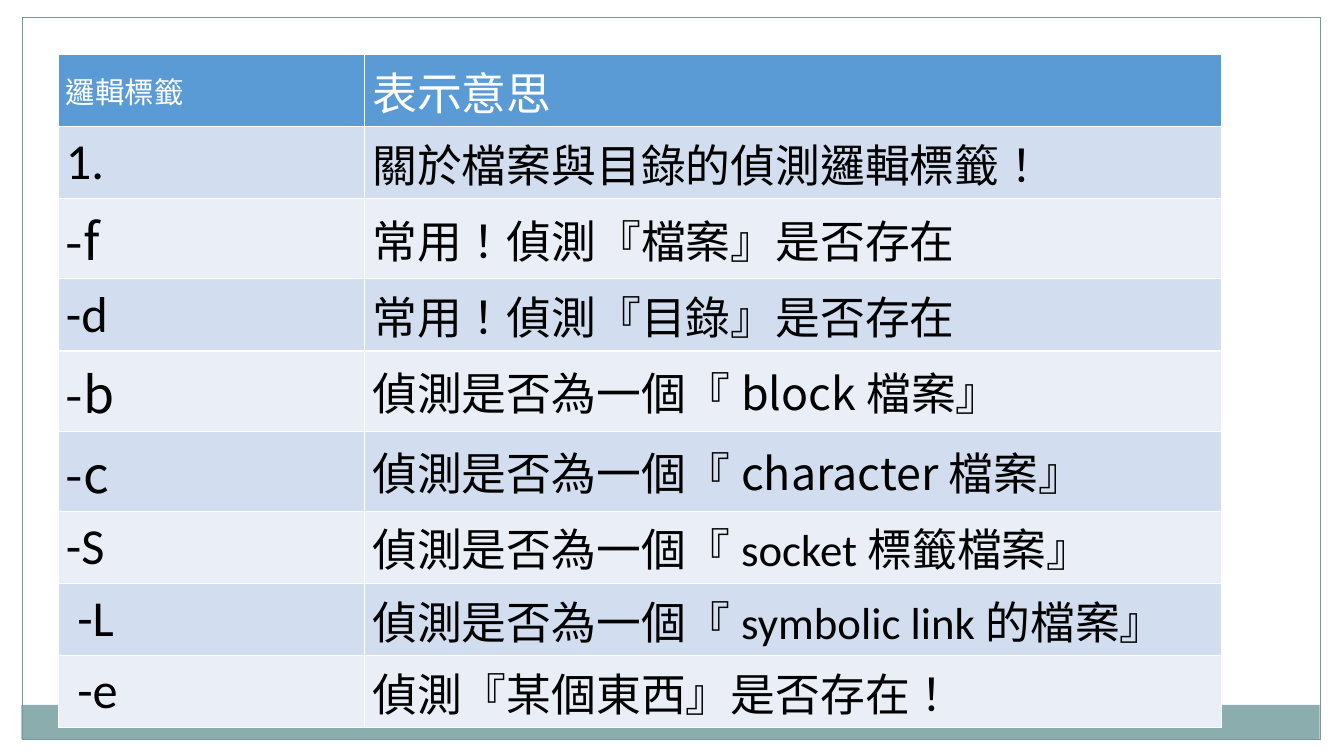
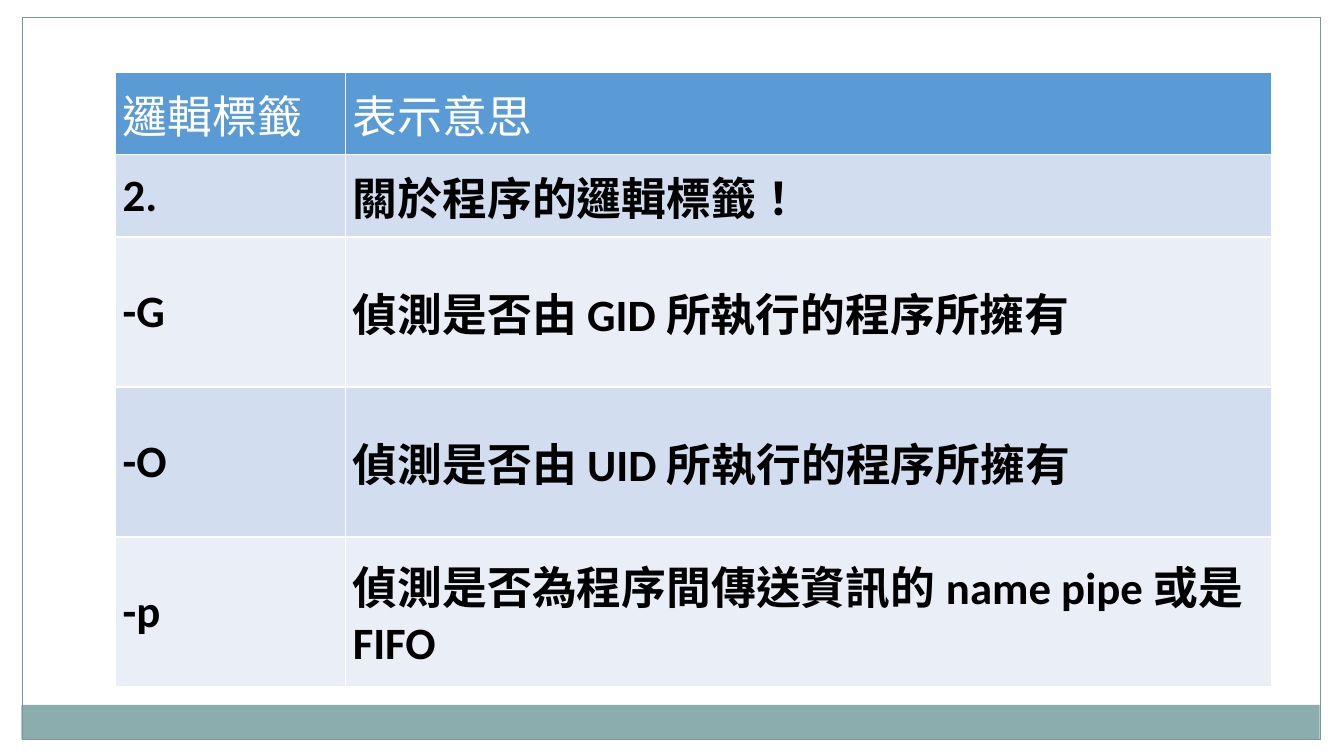
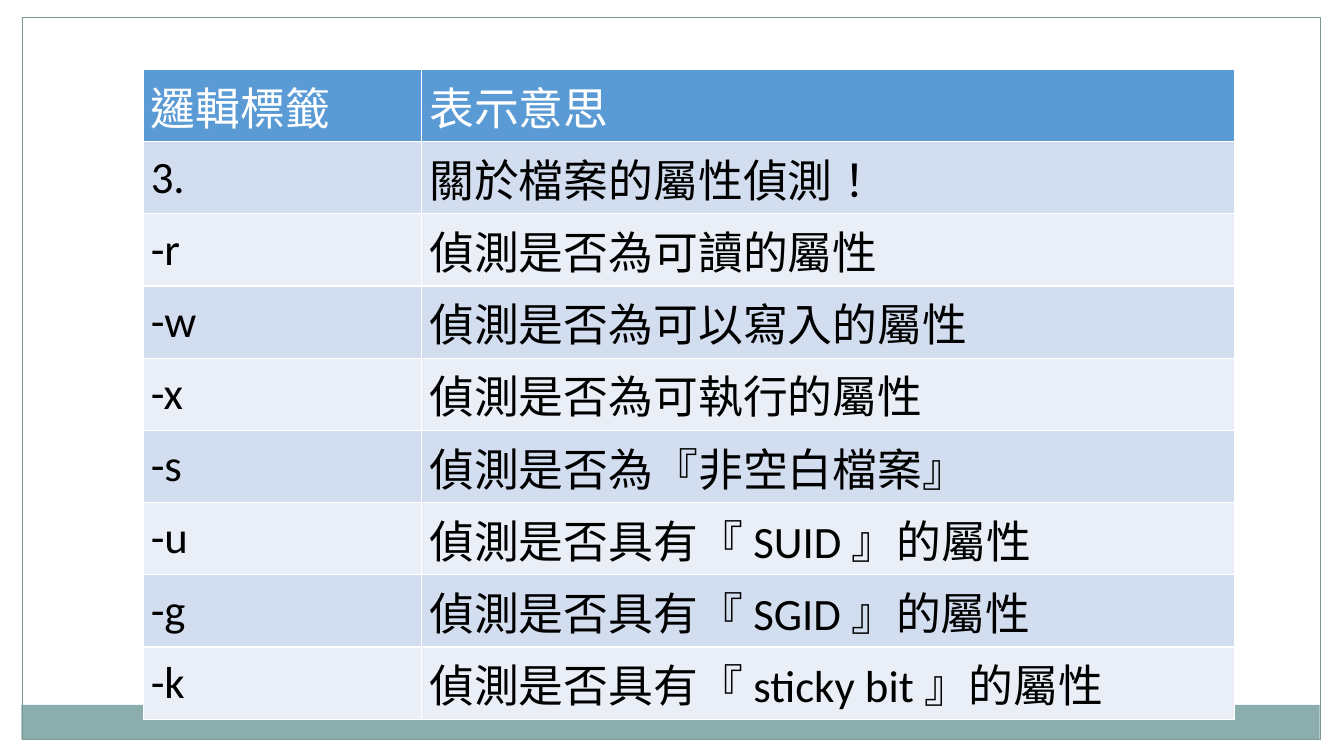
from lxml.etree import SubElement as Sub
from pptx import Presentation as Deck
from pptx.dml.color import RGBColor as Rgb
from pptx.enum.lang import MSO_LANGUAGE_ID as Lang
from pptx.enum.shapes import MSO_SHAPE as Kind
from pptx.enum.text import MSO_ANCHOR as Anchor
from pptx.oxml.ns import qn
from pptx.util import Cm, Pt

# Shared look
WIDE, HIGH = 33.87, 19.05
LATIN, HAN = "Calibri", "Noto Sans CJK TC"
WHITE, BLACK = "FFFFFF", "000000"
HEAD, BANDS = "5B9BD5", ("D2DEEF", "EAEFF7")
BASE, EDGE = "8CADAE", "7B9899"
TITLES = ("邏輯標籤", "表示意思")

# Rows: label, meaning and, where it differs, the Latin font
FILES = [
    ("1.", "關於檔案與目錄的偵測邏輯標籤！"),
    ("-f", "常用！偵測『檔案』是否存在", HAN),
    ("-d", "常用！偵測『目錄』是否存在"),
    ("-b", "偵測是否為一個『 block 檔案』", HAN),
    ("-c", "偵測是否為一個『 character 檔案』", HAN),
    ("-S", "偵測是否為一個『 socket 標籤檔案』"),
    (" -L", "偵測是否為一個『 symbolic link 的檔案』"),
    (" -e", "偵測『某個東西』是否存在！"),
]
TASKS = [
    ("2.", "關於程序的邏輯標籤！"),
    ("-G", "偵測是否由 GID 所執行的程序所擁有"),
    ("-O", "偵測是否由 UID 所執行的程序所擁有"),
    ("-p", "偵測是否為程序間傳送資訊的 name pipe 或是 FIFO"),
]
TRAITS = [
    ("3.", "關於檔案的屬性偵測！"),
    ("-r", "偵測是否為可讀的屬性"),
    ("-w", "偵測是否為可以寫入的屬性"),
    ("-x", "偵測是否為可執行的屬性"),
    ("-s", "偵測是否為『非空白檔案』"),
    ("-u", "偵測是否具有『 SUID 』的屬性"),
    ("-g", "偵測是否具有『 SGID 』的屬性"),
    ("-k", "偵測是否具有『 sticky bit 』的屬性"),
]


def paint(color, tone):
    color.rgb = Rgb.from_string(tone)


def add_box(slide, place, fill=None, line=None):
    box = slide.shapes.add_shape(Kind.RECTANGLE, *map(Cm, place))
    box.shadow.inherit = False
    if fill:
        box.fill.solid()
        paint(box.fill.fore_color, fill)
    else:
        box.fill.background()
    if line:
        paint(box.line.color, line)
        box.line.width = Pt(0.75)
    else:
        box.line.fill.background()


def add_page(deck):
    slide = deck.slides.add_slide(deck.slide_layouts[6])
    # White margins: top, right, left
    for place in ((0, 0, WIDE, 0.43), (WIDE - 0.56, 0, 0.56, HIGH),
                  (0, 0, 0.56, HIGH)):
        add_box(slide, place, fill=WHITE)
    # Foot band and thin frame
    add_box(slide, (0.54, 17.76, 32.72, 0.87), fill=BASE)
    add_box(slide, (0.56, 0.43, 32.72, 18.2), line=EDGE)
    return slide


def set_cell(cell, text, size, fill, tone=BLACK, bold=False, font=LATIN):
    # White rules come before the fill
    props = cell._tc.get_or_add_tcPr()
    for side in "LRTB":
        rule = Sub(props, qn(f"a:ln{side}"), w=str(Pt(1)))
        Sub(Sub(rule, qn("a:solidFill")), qn("a:srgbClr"), val=WHITE)
    cell.fill.solid()
    paint(cell.fill.fore_color, fill)
    cell.vertical_anchor = Anchor.MIDDLE
    cell.margin_left = cell.margin_right = Cm(0.19)
    cell.margin_top = cell.margin_bottom = Cm(0.09)
    # Text, with its East Asian font
    cell.text_frame.text = text
    run = cell.text_frame.paragraphs[0].runs[0]
    run.font.size, run.font.bold, run.font.name = Pt(size), bold, font
    run.font.language_id = Lang.TRADITIONAL_CHINESE
    paint(run.font.color, tone)
    Sub(run.font._element, qn("a:ea"), typeface=HAN)


def add_grid(slide, spot, cols, highs, rows, title=32, label=32, bold=False):
    grid = slide.shapes.add_table(
        len(highs), len(cols), *map(Cm, (*spot, sum(cols), sum(highs)))).table
    for col, wide in zip(grid.columns, cols):
        col.width = Cm(wide)
    for row, high in zip(grid.rows, highs):
        row.height = Cm(high)
    # Heading row, then banded rows
    for col, (text, size) in enumerate(zip(TITLES, (title, 32))):
        set_cell(grid.cell(0, col), text, size, HEAD, WHITE)
    for num, (mark, text, *font) in enumerate(rows):
        look = {"fill": BANDS[num % 2], "bold": bold,
                "font": font[0] if font else LATIN}
        set_cell(grid.cell(num + 1, 0), mark, label, **look)
        set_cell(grid.cell(num + 1, 1), text, 32, **look)


def main():
    deck = Deck()
    deck.slide_width, deck.slide_height = Cm(WIDE), Cm(HIGH)
    add_grid(add_page(deck), (1.47, 1.37), (7.72, 21.59), [1.7] * 9,
             FILES, title=21, label=36)
    add_grid(add_page(deck), (2.9, 1.83), (5.8, 23.35),
             [2.07] * 2 + [3.78] * 3, TASKS, bold=True)
    add_grid(add_page(deck), (3.61, 1.75), (7.02, 20.48),
             [1.32] + [1.27] * 8, TRAITS)
    deck.save("out.pptx")


if __name__ == "__main__":
    main()
